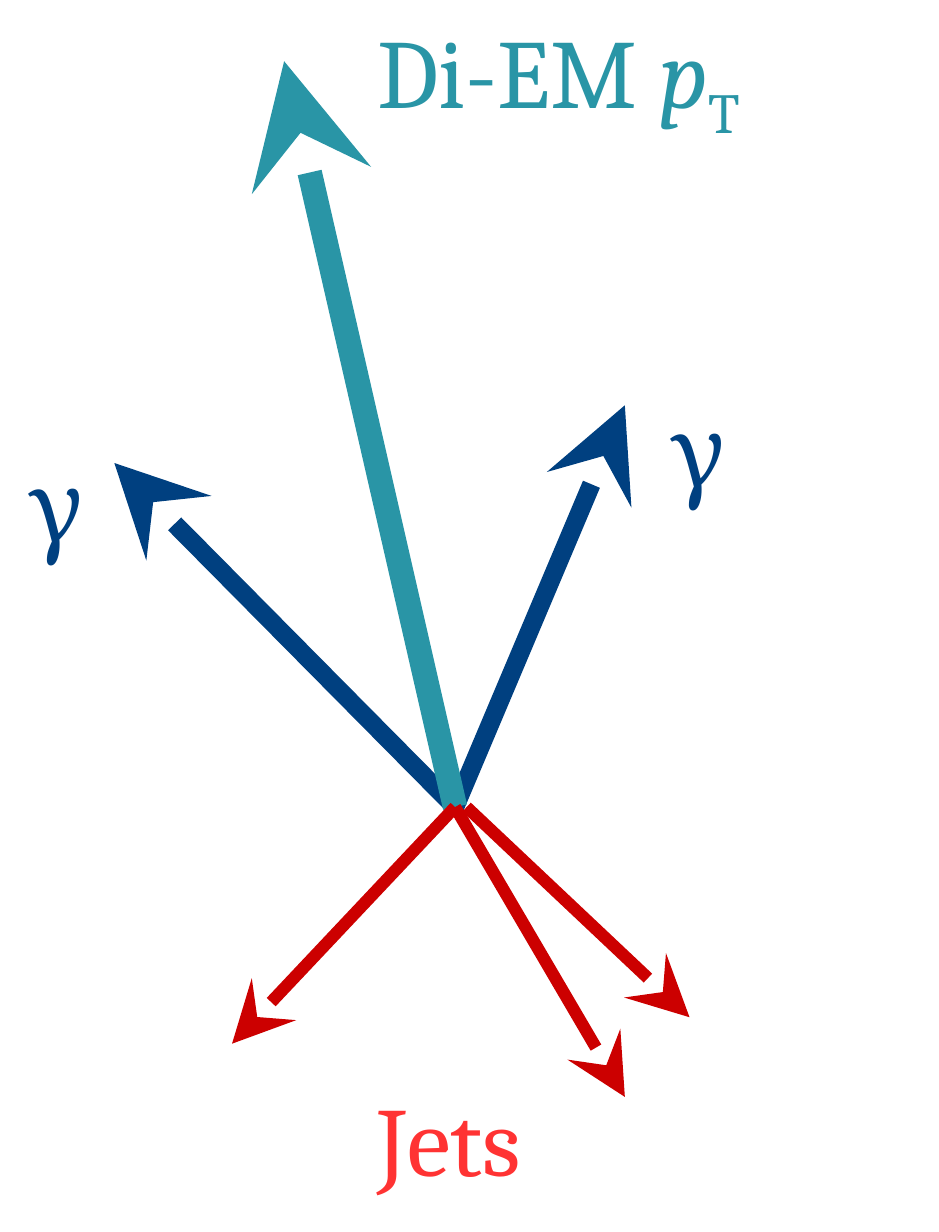
from pptx import Presentation
from pptx import util as u
from pptx.dml.color import RGBColor
from pptx.enum import shapes, text
from pptx.oxml.ns import qn
from lxml import etree

NAVY = RGBColor(0x00, 0x40, 0x80)
TEAL = RGBColor(0x29, 0x95, 0xA6)
DARK_RED = RGBColor(0xCC, 0x00, 0x00)
BRIGHT_RED = RGBColor(0xFF, 0x33, 0x33)

FONT = "Cambria"
VERTEX = (3.94, 6.99)
JET_OFFSET = (4.04, 6.99)

# start, end, colour, line width in points
ARROWS = [
    (VERTEX, (0.99, 4.01), NAVY, 4.5),
    (VERTEX, (5.41, 3.51), NAVY, 4.5),
    (VERTEX, (2.46, 0.53), TEAL, 6),
    (VERTEX, (5.41, 9.5), DARK_RED, 3),
    (VERTEX, (2.01, 9.04), DARK_RED, 3),
    (JET_OFFSET, (5.97, 8.81), DARK_RED, 3),
]

# left, top, width, colour, runs of (words, italic, baseline)
LABELS = [
    (3.02, -0.03, 4.85, TEAL,
     [("Di-EM ", False, None), ("p", True, None), ("T", False, "-25000")]),
    (3.02, 9.22, 2.84, BRIGHT_RED, [("Jets", False, None)]),
    (5.56, 3.25, 1.4, NAVY, [("γ", False, None)]),
    (0, 3.73, 1.4, NAVY, [("γ", False, None)]),
]
LABEL_HEIGHT = 1.27


def add_arrow(slide, start, end, colour, width):
    """Draw a straight momentum vector with a large stealth head."""
    points = [u.Cm(value) for value in (*start, *end)]
    arrow = slide.shapes.add_connector(shapes.MSO_CONNECTOR.STRAIGHT, *points)
    arrow.line.color.rgb = colour
    arrow.line.width = u.Pt(width)
    etree.SubElement(arrow.line._get_or_add_ln(), qn("a:tailEnd"),
                     type="stealth", w="lg", len="lg")
    etree.SubElement(arrow._element.spPr, qn("a:effectLst"))


def add_label(slide, left, top, width, colour, runs):
    """Write one label run by run."""
    box = [u.Cm(value) for value in (left, top, width, LABEL_HEIGHT)]
    frame = slide.shapes.add_textbox(*box).text_frame
    frame.word_wrap = True
    frame.auto_size = text.MSO_AUTO_SIZE.SHAPE_TO_FIT_TEXT
    paragraph = frame.paragraphs[0]
    for words, italic, baseline in runs:
        run = paragraph.add_run()
        run.text = words
        run.font.name = FONT
        run.font.size = u.Pt(24)
        run.font.italic = italic
        run.font.color.rgb = colour
        if baseline:
            run._r.get_or_add_rPr().set("baseline", baseline)


def main():
    """Build the diagram of photons recoiling against jets."""
    presentation = Presentation()
    presentation.slide_width = u.Cm(8.13)
    presentation.slide_height = u.Cm(10.67)
    slide = presentation.slides.add_slide(presentation.slide_layouts[6])
    for arrow in ARROWS:
        add_arrow(slide, *arrow)
    for label in LABELS:
        add_label(slide, *label)
    presentation.save("out.pptx")


main()
